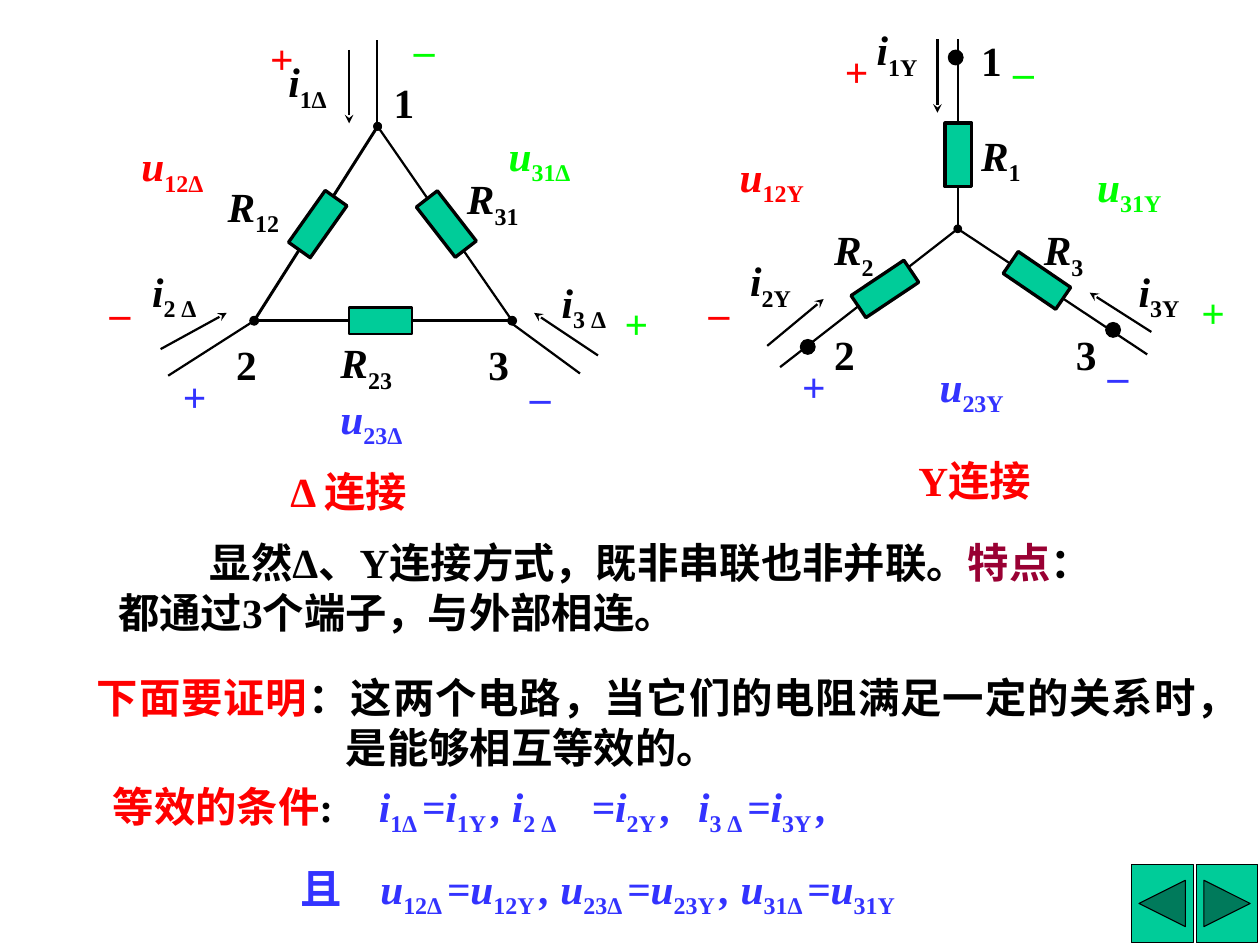
from lxml import etree
from pptx import Presentation
from pptx.dml.color import RGBColor
from pptx.enum.shapes import MSO_CONNECTOR, MSO_SHAPE
from pptx.enum.text import PP_ALIGN
from pptx.oxml.ns import qn
from pptx.util import Pt

LINE = MSO_CONNECTOR.STRAIGHT
RECT, OVAL = MSO_SHAPE.RECTANGLE, MSO_SHAPE.OVAL
BACK = MSO_SHAPE.ACTION_BUTTON_BACK_OR_PREVIOUS
NEXT = MSO_SHAPE.ACTION_BUTTON_FORWARD_OR_NEXT
LEFT, JUST = PP_ALIGN.LEFT, PP_ALIGN.JUSTIFY


class Theme:
    black = RGBColor(0x00, 0x00, 0x00)
    red = RGBColor(0xFF, 0x00, 0x00)
    blue = RGBColor(0x33, 0x33, 0xFF)
    lime = RGBColor(0x00, 0xFF, 0x00)
    wine = RGBColor(0x99, 0x00, 0x33)
    teal = RGBColor(0x00, 0xCC, 0x99)
    font = "Times New Roman"
    size = Pt(28)


deck = Presentation()
deck.slide_width, deck.slide_height = Pt(852.48), Pt(639.36)
slide = deck.slides.add_slide(deck.slide_layouts[6])


def write(text, x=0, y=0, w=72, h=42, para=None, color=Theme.black,
          slant=False, sub=False, align=LEFT, left=0, first=0):
    """Add a run to para, or to a new text box, and return its paragraph."""
    if para is None:
        frame = slide.shapes.add_textbox(Pt(x), Pt(y), Pt(w), Pt(h)).text_frame
        frame.word_wrap = True
        frame.margin_left = frame.margin_right = Pt(8.6)
        frame.margin_top = frame.margin_bottom = Pt(4.3)
        para = frame.paragraphs[0]
        para.alignment = align
        props = para._p.get_or_add_pPr()
        props.set("marL", str(Pt(left)))
        props.set("indent", str(Pt(first)))
    run = para.add_run()
    run.text = text
    font = run.font
    font.name, font.size, font.bold, font.italic = Theme.font, Theme.size, True, slant
    font.color.rgb = color
    if sub:
        font._element.set("baseline", "-25000")
    return para


def draw(kind, x, y, w, h, fill, width, turn=0):
    """Add a filled shape centred on x, y."""
    shape = slide.shapes.add_shape(kind, Pt(x - w / 2), Pt(y - h / 2), Pt(w), Pt(h))
    shape.shadow.inherit = False
    shape.fill.solid()
    shape.fill.fore_color.rgb = fill
    shape.line.color.rgb = Theme.black
    shape.line.width = Pt(width)
    shape.rotation = turn


# Page buttons
for kind, x in ((BACK, 786.3), (NEXT, 830.2)):
    draw(kind, x, 611.3, 41.8, 53.3, Theme.teal, 0.75)

# Wires and current arrows: ends, width, head, tail
top, west, east = (255.5, 85.5), (172, 217), (346.5, 217)
hub = (648, 154.8)
wires = [
    (west, east, 2.25, "oval", "oval"),
    (east, top, 1.5, "oval", "oval"),
    (top, west, 2, "oval", "oval"),
    ((254.9, 85.5), (254.9, 27.4), 1.5, None, None),
    (west, (113.8, 254.2), 1.5, None, None),
    ((346.5, 219), (392.4, 252.7), 1.5, None, None),
    ((236.2, 33.8), (236.2, 83.5), 1.5, None, "stealth"),
    ((108.7, 236.2), (153.4, 211.7), 1.5, None, "stealth"),
    ((404.6, 240.5), (361.4, 211.7), 1.5, None, "stealth"),
    ((648, 26.6), hub, 1.5, None, "oval"),
    (hub, (527.8, 248.4), 1.5, None, None),
    (hub, (776.2, 239.8), 1.5, None, None),
    ((634.3, 26.6), (634.3, 76.3), 1.5, None, "stealth"),
    ((519.1, 234), (557.3, 202.3), 1.5, None, "stealth"),
    ((779, 224.6), (737.3, 198), 1.5, None, "stealth"),
]
for start, end, width, head, tail in wires:
    wire = slide.shapes.add_connector(LINE, *map(Pt, start + end))
    wire.line.color.rgb = Theme.black
    wire.line.width = Pt(width)
    for tag, tip in (("a:headEnd", head), ("a:tailEnd", tail)):
        if tip:
            etree.SubElement(wire.line._get_or_add_ln(), qn(tag), type=tip)
    etree.SubElement(wire._element.spPr, qn("a:effectLst"))

# Resistors: centre, width of outline, angle
for x, y, width, turn in (
    (257.4, 217, 1.5, 270), (302, 151.6, 2.25, 322.2), (215, 151.6, 2.25, 35.3),
    (598.7, 195.5, 2.25, 56.2), (701.6, 189.7, 2.25, 304.3), (648.4, 104.8, 2.25, 0),
):
    draw(RECT, x, y, 18, 43, Theme.teal, width, turn)

# Terminals of the Y circuit
for x, y in ((546.5, 234.7), (646.6, 38.9), (753.1, 223.2)):
    draw(OVAL, x, y, 10, 10, Theme.black, 0.75)

# Symbols with subscripts
symbols = {
    Theme.black: [
        ("R", "12", 145.4, 118), ("R", "31", 307.4, 113), ("R", "23", 221.8, 223.9),
        ("i", "1Δ", 186.5, 33.8), ("i", "2 Δ", 94.3, 175.7), ("i", "3 Δ", 371.5, 182.9),
        ("R", "1", 655.2, 83.5), ("R", "2", 555.8, 147.6), ("R", "3", 697.7, 147.6),
        ("i", "1Y", 584.6, 12.2), ("i", "2Y", 499, 168.5), ("i", "3Y", 761.8, 175.7),
    ],
    Theme.red: [("u", "12Δ", 87.1, 90.7), ("u", "12Y", 491.8, 97.9)],
    Theme.blue: [("u", "23Δ", 221.8, 261.4), ("u", "23Y", 627.1, 239.8)],
    Theme.lime: [("u", "31Δ", 335.5, 83.5), ("u", "31Y", 733.7, 104.4)],
}
for color, group in symbols.items():
    for stem, index, x, y in group:
        para = write(stem, x, y, color=color, slant=True)
        write(index, para=para, color=color, sub=True)

# Terminal numbers and polarity signs
marks = {
    Theme.black: [
        ("1", 257.8, 48.2), ("2", 151.2, 225.4), ("3", 321.8, 225.4),
        ("1", 655.2, 19.4), ("2", 555.8, 218.2), ("3", 719.3, 218.2),
    ],
    Theme.red: [("+", 174.2, 18), ("–", 65.5, 190), ("+", 563, 26.6), ("–", 470.9, 190)],
    Theme.blue: [("+", 115.2, 247), ("–", 350, 247), ("+", 534.2, 239.8), ("–", 740.9, 232.6)],
    Theme.lime: [("+", 414, 197.3), ("–", 271.4, 12.2), ("+", 804.2, 190), ("–", 676.8, 26.6)],
}
for color, group in marks.items():
    for mark, x, y in group:
        write(mark, x, y, w=48, color=color)

# Circuit names
write("Δ 连接", 187.9, 311, w=109.4, color=Theme.red)
write("Y连接", 612.7, 303.8, w=104.4, color=Theme.red)

# Remarks
para = write("显然Δ、Y连接方式，既非串联也非并联。", 71.3, 359.3, w=666, h=75.6, first=62)
write("特点", para=para, color=Theme.wine)
write("：都通过3个端子，与外部相连。", para=para)
para = write("下面要证明", 56.9, 450.7, w=761.8, h=75.6, color=Theme.red,
             align=JUST, left=168.5, first=-168.5)
write("：这两个电路，当它们的电阻满足一定的关系时，是能够相互等效的。", para=para)

# Conditions: base and subscript take turns around each underscore
amps = write("等效的条件", 67.7, 524.2, w=596.9, h=92.9, color=Theme.red)
write(":\t", para=amps)
volts = amps._parent.add_paragraph() if hasattr(amps._parent, "add_paragraph") else None
volts.space_before = Pt(17)
write("\t且\t", para=volts, color=Theme.blue)
for para, stops, terms in (
    (amps, (198, 326, 394), "i_1Δ _=i_1Y _, i_2 Δ_\t=i_2Y _,\ti_3 Δ _=i_3Y _,"),
    (volts, (127, 181), "u_12Δ _=u_12Y _, u_23Δ _=u_23Y _, u_31Δ _=u_31Y"),
):
    tabs = etree.SubElement(para._p.get_or_add_pPr(), qn("a:tabLst"))
    for stop in stops:
        etree.SubElement(tabs, qn("a:tab"), pos=str(Pt(stop)), algn="l")
    for count, term in enumerate(terms.split("_")):
        low = count % 2 == 1
        write(term, para=para, color=Theme.blue, slant=not low, sub=low)

deck.save("out.pptx")
